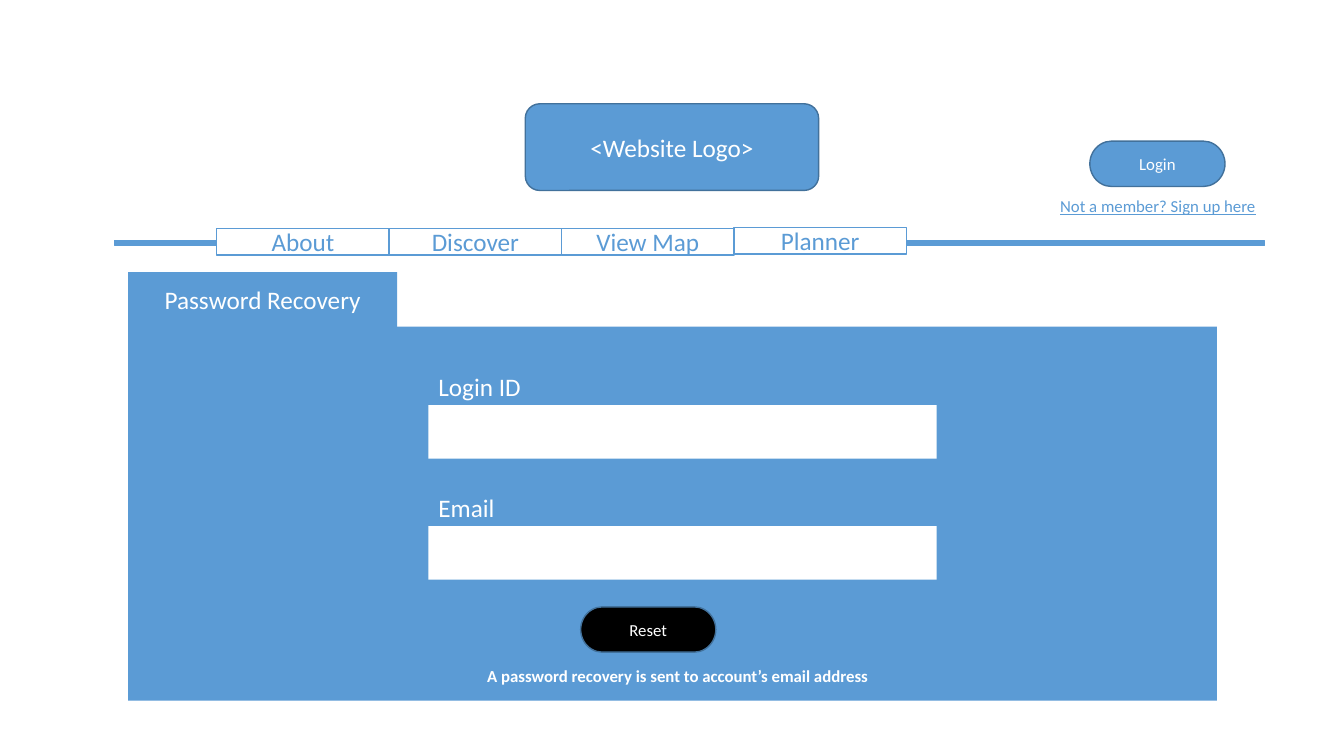
from pptx import Presentation
from pptx.dml.color import RGBColor
from pptx.enum.shapes import MSO_SHAPE
from pptx.enum.text import MSO_ANCHOR, PP_ALIGN
from pptx.util import Pt

EMU_PER_PX = 9144  # 100 px to the inch
FONT = "Calibri"
COLOURS = {
    "blue": "5B9BD5",
    "edge": "42719B",
    "white": "FFFFFF",
    "black": "000000",
}


def px(length):
    return length * EMU_PER_PX


def colour(name):
    return RGBColor.from_string(COLOURS[name])


def write(box, text, size=18, ink="white", align=PP_ALIGN.CENTER, bold=False, underline=False):
    frame = box.text_frame
    frame.word_wrap = True
    frame.vertical_anchor = MSO_ANCHOR.MIDDLE
    para = frame.paragraphs[0]
    para.alignment = align
    span = para.add_run()
    span.text = text
    span.font.name = FONT
    span.font.size = Pt(size)
    span.font.bold = bold
    span.font.underline = underline
    span.font.color.rgb = colour(ink)


def add_block(page, bounds, fill="blue", edge=None, kind=MSO_SHAPE.RECTANGLE, weight=1):
    """Add a filled shape; it has no outline unless an edge colour is named."""
    block = page.shapes.add_shape(kind, *map(px, bounds))
    block.shadow.inherit = False
    block.fill.solid()
    block.fill.fore_color.rgb = colour(fill)
    if edge:
        block.line.color.rgb = colour(edge)
        block.line.width = Pt(weight)
    else:
        block.line.fill.background()
    return block


def add_pill(page, bounds, text, fill="blue", edge=None, **style):
    pill = add_block(page, bounds, fill, edge, MSO_SHAPE.FLOWCHART_TERMINATOR)
    write(pill, text, size=12, **style)


def add_tab(page, left, top, text):
    tab = add_block(page, (left, top, 171, 26), "white", "blue")
    write(tab, text, ink="blue")


def add_field(page, top, text):
    """Add a label with its empty input box below."""
    label = page.shapes.add_textbox(*map(px, (425, top, 504, 37)))
    write(label, text, align=PP_ALIGN.LEFT)
    add_block(page, (425, top + 37, 504, 53), "white")


def add_header(page):
    add_block(page, (114, 239, 1140, 5), edge="blue", weight=0.75)
    logo = add_block(page, (521, 103, 291, 86), edge="edge", kind=MSO_SHAPE.ROUNDED_RECTANGLE)
    write(logo, "<Website Logo>")
    tabs = [("About", 227), ("Discover", 227), ("View Map", 227), ("Planner", 226)]
    for index, (text, top) in enumerate(tabs):
        add_tab(page, 215 + 171 * index, top, text)
    add_pill(page, (1081, 140, 134, 45), "Login", edge="edge")
    add_pill(page, (1015, 192, 267, 25), "Not a member? Sign up here",
             "white", "white", ink="blue", underline=True)


def add_recovery_form(page):
    add_block(page, (127, 324, 1080, 371))
    heading = add_block(page, (127, 270, 267, 55))
    write(heading, "Password Recovery")
    add_field(page, 365, "Login ID")
    add_field(page, 485, "Email")
    add_pill(page, (576, 602, 134, 45), "Reset", "black", "edge")
    add_pill(page, (452, 659, 453, 22), "A password recovery is sent to account’s email address",
             align=PP_ALIGN.LEFT, bold=True)


def main():
    deck = Presentation()
    deck.slide_width = px(1333)
    deck.slide_height = px(750)
    page = deck.slides.add_slide(deck.slide_layouts[6])
    add_header(page)
    add_recovery_form(page)
    deck.save("out.pptx")


if __name__ == "__main__":
    main()
